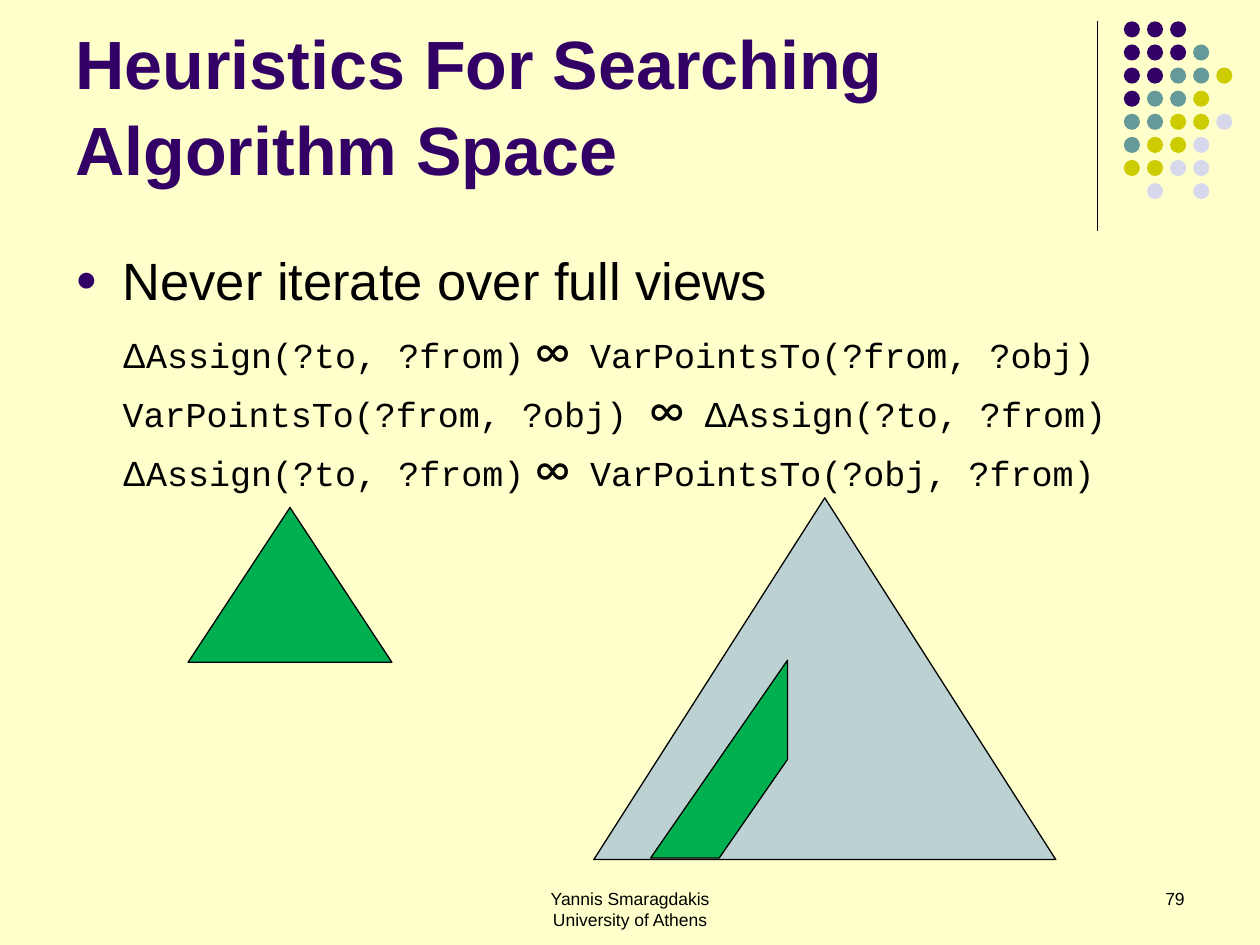
from lxml import etree
from pptx import Presentation
from pptx.dml.color import RGBColor
from pptx.enum.shapes import MSO_CONNECTOR, MSO_SHAPE
from pptx.enum.text import MSO_ANCHOR, PP_ALIGN
from pptx.oxml.ns import qn
from pptx.util import Pt

LINE = MSO_CONNECTOR.STRAIGHT
OVAL = MSO_SHAPE.OVAL
TRIANGLE = MSO_SHAPE.ISOSCELES_TRIANGLE
TOP, BOTTOM = MSO_ANCHOR.TOP, MSO_ANCHOR.BOTTOM
LEFT, CENTER, RIGHT = PP_ALIGN.LEFT, PP_ALIGN.CENTER, PP_ALIGN.RIGHT

COLORS = {
    "background": "FFFFCC",
    "black": "000000",
    "purple": "330066",
    "teal": "669999",
    "olive": "CCCC00",
    "lavender": "D8D8EC",
    "green": "00B050",
    "gray": "BCD2D2",
}

# One letter per dot, a space where the grid is empty
DOT_ROWS = ["PPP", "PPPT", "PPTTO", "PTTO", "TTOOL", "TOOL", "OOLL", " L L"]
DOT_COLORS = {"P": "purple", "T": "teal", "O": "olive", "L": "lavender"}
DOT_LEFT, DOT_TOP, DOT_PITCH, DOT_SIZE = 642.2, 12.2, 13.2, 9.2

BODY_INDENT = 27
ARIAL, MONO, SYMBOL = ("Arial", 20), ("Courier New", 20), ("Lato", 28)
DELTA_FIRST = [("Δ", ARIAL), ("Assign(?to, ?from)", MONO), (" ", ARIAL),
               ("∞", SYMBOL), ("  ", ARIAL)]
JOINS = [
    DELTA_FIRST + [("VarPointsTo(?from, ?obj)", MONO)],
    [("VarPointsTo(?from, ?obj) ", MONO), ("∞", SYMBOL), ("  Δ", ARIAL),
     ("Assign(?to, ?from)", MONO)],
    DELTA_FIRST + [("VarPointsTo(?obj, ?from)", MONO)],
]


def rgb(name):
    return RGBColor.from_string(COLORS[name])


def style_run(r, font, size, color="black", bold=False):
    r.font.name = font
    r.font.size = Pt(size)
    r.font.color.rgb = rgb(color)
    r.font.bold = bold


def style_shape(sp, fill, outlined=True):
    sp.shadow.inherit = False
    sp.fill.solid()
    sp.fill.fore_color.rgb = rgb(fill)
    if outlined:
        sp.line.color.rgb = rgb("black")
        sp.line.width = Pt(0.75)
    else:
        sp.line.fill.background()


def add_shape(shapes, kind, box, fill, outlined=True):
    sp = shapes.add_shape(kind, *map(Pt, box))
    style_shape(sp, fill, outlined)


def add_polygon(shapes, points, fill):
    start, *rest = [(Pt(x), Pt(y)) for x, y in points]
    builder = shapes.build_freeform(*start)
    builder.add_line_segments(rest, close=True)
    style_shape(builder.convert_to_shape(), fill)


def add_rule(shapes, x, top, bottom):
    line = shapes.add_connector(LINE, Pt(x), Pt(top), Pt(x), Pt(bottom))
    line.line.color.rgb = rgb("black")
    line.line.width = Pt(0.75)
    etree.SubElement(line._element.spPr, qn("a:effectLst"))


def add_text(shapes, box, lines, size, color="black", bold=False,
             align=LEFT, anchor=TOP, spacing=1.0):
    tf = shapes.add_textbox(*map(Pt, box)).text_frame
    tf.word_wrap = True
    tf.vertical_anchor = anchor
    tf.text = "\n".join(lines)
    for p in tf.paragraphs:
        p.alignment = align
        p.line_spacing = spacing
        style_run(p.runs[0], "Arial", size, color, bold)
    return tf


def set_indent(p, left, first=0):
    pPr = p._p.get_or_add_pPr()
    pPr.set("marL", str(Pt(left)))
    pPr.set("indent", str(Pt(first)))
    return pPr


def add_bullet(p):
    pPr = set_indent(p, BODY_INDENT, -BODY_INDENT)
    color = etree.SubElement(pPr, qn("a:buClr"))
    etree.SubElement(color, qn("a:srgbClr"), val=COLORS["purple"])
    etree.SubElement(pPr, qn("a:buSzPct"), val="70000")
    etree.SubElement(pPr, qn("a:buFont"), typeface="Arial")
    etree.SubElement(pPr, qn("a:buChar"), char="●")


def add_dots(shapes):
    for row, letters in enumerate(DOT_ROWS):
        for col, letter in enumerate(letters):
            if letter != " ":
                box = (DOT_LEFT + col * DOT_PITCH, DOT_TOP + row * DOT_PITCH,
                       DOT_SIZE, DOT_SIZE)
                add_shape(shapes, OVAL, box, DOT_COLORS[letter], False)


def add_body(shapes):
    tf = add_text(shapes, (36, 138, 648, 344),
                  ["Never iterate over full views"], 30)
    add_bullet(tf.paragraphs[0])
    for i, pieces in enumerate(JOINS):
        p = tf.add_paragraph()
        set_indent(p, BODY_INDENT)
        p.space_before = Pt(0 if i else 5)
        for text, (font, size) in pieces:
            r = p.add_run()
            r.text = text
            style_run(r, font, size)


def main():
    prs = Presentation()
    prs.slide_width, prs.slide_height = Pt(720), Pt(540)
    s = prs.slides.add_slide(prs.slide_layouts[6])
    s.background.fill.solid()
    s.background.fill.fore_color.rgb = rgb("background")
    shapes = s.shapes

    # Corner decoration
    add_rule(shapes, 627, 12, 132)
    add_dots(shapes)

    # Title and body
    add_text(shapes, (36, 9.5, 594, 102),
             ["Heuristics For Searching Algorithm Space"], 39, "purple",
             bold=True, anchor=BOTTOM, spacing=1.05)
    add_body(shapes)

    # Delta and full view, with the part of the view that is visited
    add_shape(shapes, TRIANGLE, (107.5, 290, 116.5, 88.5), "green")
    add_shape(shapes, TRIANGLE, (339.3, 284.5, 264, 206.7), "gray")
    add_polygon(shapes, [(450, 377.3), (450, 434), (411, 490.3),
                         (371.8, 490.3)], "green")

    # Footer
    add_text(shapes, (246, 504, 228, 36),
             ["Yannis Smaragdakis", "University of Athens"], 10, align=CENTER)
    add_text(shapes, (516, 504, 168, 36), ["79"], 10, align=RIGHT)

    prs.save("out.pptx")


if __name__ == "__main__":
    main()
